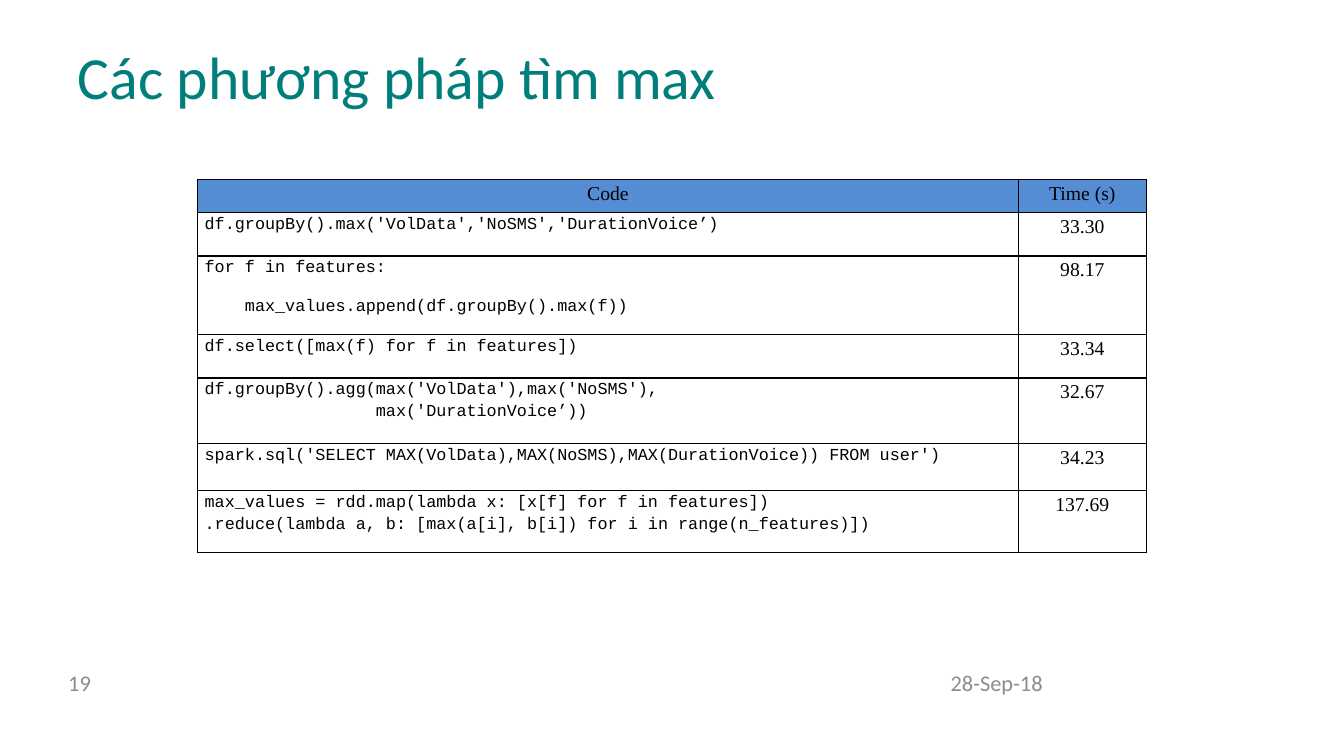
from dataclasses import dataclass

from lxml import etree
from pptx import Presentation
from pptx.dml.color import RGBColor
from pptx.enum.text import MSO_ANCHOR, PP_ALIGN
from pptx.oxml.ns import qn
from pptx.util import Inches, Pt

LEFT, CENTER, RIGHT, JUSTIFY = PP_ALIGN.LEFT, PP_ALIGN.CENTER, PP_ALIGN.RIGHT, PP_ALIGN.JUSTIFY
MIDDLE, TOP = MSO_ANCHOR.MIDDLE, MSO_ANCHOR.TOP
TITLE_ONLY = 5


@dataclass(frozen=True)
class TextStyle:
    font: str
    size: float
    color: str


@dataclass(frozen=True)
class Theme:
    title: TextStyle = TextStyle("Calibri", 42.7, "007E7B")
    footer: TextStyle = TextStyle("Calibri", 16, "8C8C8C")
    label: TextStyle = TextStyle("Times New Roman", 14, "000000")
    code: TextStyle = TextStyle("Courier New", 12, "000000")
    header_fill: str = "548DD4"
    body_fill: str = "FFFFFF"
    border: str = "000000"


THEME = Theme()

# Code lines, time in seconds, row height, space between code lines in points
METHODS = [
    (["df.groupBy().max('VolData','NoSMS','DurationVoice’)"], "33.30", 0.43, 0),
    (["for f in features:",
      "    max_values.append(df.groupBy().max(f))"], "98.17", 0.78, 12),
    (["df.select([max(f) for f in features])"], "33.34", 0.43, 0),
    (["df.groupBy().agg(max('VolData'),max('NoSMS'),",
      "                 max('DurationVoice’))"], "32.67", 0.65, 0),
    (["spark.sql('SELECT MAX(VolData),MAX(NoSMS),MAX(DurationVoice)) FROM user')"],
     "34.23", 0.47, 0),
    (["max_values = rdd.map(lambda x: [x[f] for f in features])",
      ".reduce(lambda a, b: [max(a[i], b[i]) for i in range(n_features)])"],
     "137.69", 0.61, 0),
]
HEADER_HEIGHT = 0.33
COLUMN_WIDTHS = [8.14, 1.27]


def write_lines(text_frame, lines, style, alignment, line_spacing=1.0, gap=0):
    for index, line in enumerate(lines):
        paragraph = text_frame.paragraphs[0] if index == 0 else text_frame.add_paragraph()
        paragraph.alignment = alignment
        paragraph.line_spacing = line_spacing
        paragraph.space_before = Pt(gap if index else 0)
        run = paragraph.add_run()
        run.text = line
        run.font.name = style.font
        run.font.size = Pt(style.size)
        run.font.color.rgb = RGBColor.from_string(style.color)


def set_title(slide, text):
    title = slide.shapes.title
    title.left, title.top = Inches(0.67), Inches(0.3)
    title.width, title.height = Inches(12), Inches(0.89)
    title.text_frame.vertical_anchor = MIDDLE
    write_lines(title.text_frame, [text], THEME.title, LEFT)


def add_footer(slide, text, left, width, alignment):
    box = slide.shapes.add_textbox(Inches(left), Inches(6.57), Inches(width), Inches(0.4))
    box.text_frame.word_wrap = True
    box.text_frame.vertical_anchor = MIDDLE
    write_lines(box.text_frame, [text], THEME.footer, alignment)


def add_borders(cell):
    properties = cell._tc.get_or_add_tcPr()
    for side in ("a:lnL", "a:lnR", "a:lnT", "a:lnB"):
        line = etree.SubElement(properties, qn(side), w=str(Pt(1)))
        fill = etree.SubElement(line, qn("a:solidFill"))
        etree.SubElement(fill, qn("a:srgbClr"), val=THEME.border)


def fill_cell(cell, lines, style, alignment, fill, gap=0):
    add_borders(cell)
    cell.fill.solid()
    cell.fill.fore_color.rgb = RGBColor.from_string(fill)
    cell.margin_left = cell.margin_right = Inches(0.07)
    cell.margin_top = cell.margin_bottom = 0
    cell.vertical_anchor = TOP
    write_lines(cell.text_frame, lines, style, alignment, 1.15, gap)


def add_timing_table(slide):
    heights = [HEADER_HEIGHT] + [height for _, _, height, _ in METHODS]
    table = slide.shapes.add_table(
        len(heights), len(COLUMN_WIDTHS), Inches(1.96), Inches(1.78),
        Inches(sum(COLUMN_WIDTHS)), Inches(sum(heights))).table
    table.first_row = table.horz_banding = False
    for column, width in zip(table.columns, COLUMN_WIDTHS):
        column.width = Inches(width)
    for row, height in zip(table.rows, heights):
        row.height = Inches(height)

    # Header row
    for index, heading in enumerate(["Code", "Time (s)"]):
        fill_cell(table.cell(0, index), [heading], THEME.label, CENTER, THEME.header_fill)

    # One row for each method
    for index, (code, seconds, _, gap) in enumerate(METHODS, start=1):
        fill_cell(table.cell(index, 0), code, THEME.code, JUSTIFY, THEME.body_fill, gap)
        fill_cell(table.cell(index, 1), [seconds], THEME.label, CENTER, THEME.body_fill)


def main():
    presentation = Presentation()
    presentation.slide_width, presentation.slide_height = Inches(13.33), Inches(7.5)
    slide = presentation.slides.add_slide(presentation.slide_layouts[TITLE_ONLY])
    set_title(slide, "Các phương pháp tìm max")
    add_footer(slide, "28-Sep-18", 9.33, 1.56, LEFT)
    add_footer(slide, "19", 0.33, 0.67, RIGHT)
    add_timing_table(slide)
    presentation.save("out.pptx")


if __name__ == "__main__":
    main()
